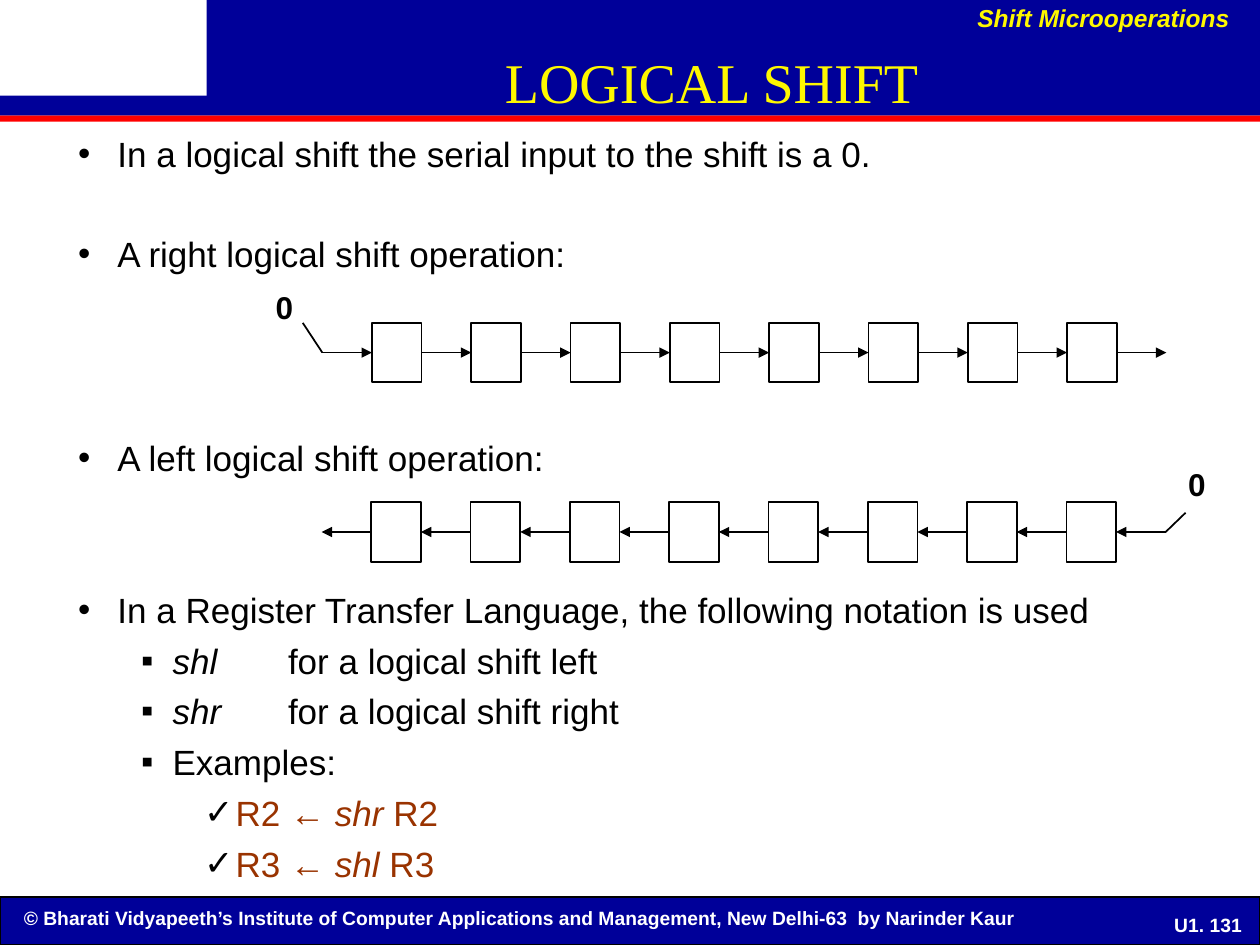
from lxml import etree
from pptx import Presentation
from pptx.dml.color import RGBColor
from pptx.enum import shapes, text
from pptx.oxml import ns
from pptx.util import Pt

NAVY, RED, WHITE, BLACK = "000099", "FF0000", "FFFFFF", "000000"
YELLOW, BROWN = "FEF800", "993300"
HALF = 28.37
CELL_HEIGHT = 34
BULLETS = {0: ("•", 22.5, -22.5), 1: ("▪", 54, -18), 2: ("✓", 90, -18)}
POINTS = [
    (0, 0, BLACK, ["In a logical shift the serial input to the shift is a 0."]),
    (0, 33.5, BLACK, ["A right logical shift operation:"]),
    (0, 92, BLACK, ["A left logical shift operation:"]),
    (0, 63, BLACK, ["In a Register Transfer Language, the following notation is used"]),
    (1, 5, BLACK, ["", "shl", "\tfor a logical shift left"]),
    (1, 5, BLACK, ["", "shr", "\tfor a logical shift right"]),
    (1, 5, BLACK, ["Examples:"]),
    (2, 5, BROWN, ["R2 ← ", "shr", " R2"]),
    (2, 5, BROWN, ["R3 ← ", "shl", " R3"]),
]


def rgb(value):
    """Return the colour for a hex string."""
    return RGBColor.from_string(value)


def add_element(parent, tag, **attrs):
    """Append a DrawingML element and return it."""
    return etree.SubElement(parent, ns.qn(tag), attrs)


def set_font(font, name, size, color, bold=False, italic=False):
    """Format a font."""
    font.name, font.size = name, Pt(size)
    font.bold, font.italic = bold, italic
    font.color.rgb = rgb(color)


def place(sp, left, top, width, height):
    """Move and size a shape."""
    sp.left, sp.top, sp.width, sp.height = map(Pt, (left, top, width, height))


def add_rect(slide, left, top, width, height, fill=None, line=None, weight=1):
    """Add a rectangle with an optional fill and outline."""
    sp = slide.shapes.add_shape(
        shapes.MSO_SHAPE.RECTANGLE, *map(Pt, (left, top, width, height)))
    sp.shadow.inherit = False
    if fill:
        sp.fill.solid()
        sp.fill.fore_color.rgb = rgb(fill)
    else:
        sp.fill.background()
    if line:
        sp.line.color.rgb = rgb(line)
        sp.line.width = Pt(weight)
    else:
        sp.line.fill.background()


def add_line(slide, start, end, arrow=False):
    """Add a black line, with an arrowhead at its end if asked."""
    c = slide.shapes.add_connector(
        shapes.MSO_CONNECTOR.STRAIGHT, *map(Pt, (*start, *end)))
    c.line.color.rgb = rgb(BLACK)
    c.line.width = Pt(1)
    if arrow:
        add_element(c.line._get_or_add_ln(), "a:tailEnd", type="triangle")
    add_element(c._element.spPr, "a:effectLst")


def add_label(slide, box, words, size, color, align=text.PP_ALIGN.LEFT,
              italic=False, wrap=False, anchor=text.MSO_ANCHOR.TOP, spacing=1.0):
    """Add a bold one-line text box."""
    tf = slide.shapes.add_textbox(*map(Pt, box)).text_frame
    tf.word_wrap, tf.vertical_anchor = wrap, anchor
    p = tf.paragraphs[0]
    p.text, p.alignment, p.line_spacing = words, align, spacing
    set_font(p.font, "Arial", size, color, bold=True, italic=italic)


def add_bullet(p, level):
    """Give a paragraph its indents, bullet and tab stop."""
    char, margin, indent = BULLETS[level]
    p.level = level
    pPr = p._p.get_or_add_pPr()
    pPr.set("marL", str(Pt(margin)))
    pPr.set("indent", str(Pt(indent)))
    add_element(add_element(pPr, "a:buClr"), "a:srgbClr", val=BLACK)
    add_element(pPr, "a:buFont", typeface="Arial")
    add_element(pPr, "a:buChar", char=char)
    add_element(add_element(pPr, "a:tabLst"), "a:tab", pos=str(Pt(120)), algn="l")


def fill_title(sp):
    """Write the slide title."""
    place(sp, 116.6, 24.8, 580.3, 43.2)
    tf = sp.text_frame
    tf.auto_size = text.MSO_AUTO_SIZE.NONE
    tf.vertical_anchor = text.MSO_ANCHOR.MIDDLE
    p = tf.paragraphs[0]
    p.text, p.alignment = "LOGICAL SHIFT", text.PP_ALIGN.CENTER
    set_font(p.font, "Times New Roman", 32, YELLOW)


def fill_body(sp):
    """Write the bulleted list, with every second run in italics."""
    place(sp, 37.4, 72, 645.8, 447)
    tf = sp.text_frame
    tf.auto_size = text.MSO_AUTO_SIZE.NONE
    for i, (level, before, color, runs) in enumerate(POINTS):
        p = tf.add_paragraph() if i else tf.paragraphs[0]
        p.space_before = Pt(before)
        add_bullet(p, level)
        set_font(p.font, "Arial", 20, color)
        for j, words in enumerate(runs):
            if words:
                r = p.add_run()
                r.text = words
                if j % 2:
                    r.font.italic = True


def add_register(slide, left, top, to_right):
    """Draw eight cells joined by nine arrows."""
    middle = top + CELL_HEIGHT / 2
    for i in range(9):
        x = left + 2 * i * HALF
        ends = [(x, middle), (x + HALF, middle)]
        add_line(slide, *(ends if to_right else ends[::-1]), arrow=True)
        if i < 8:
            add_rect(slide, x + HALF, top, HALF, CELL_HEIGHT, line=BLACK)


def add_bands(slide):
    """Draw the header and footer bands with the footer wording."""
    add_rect(slide, 0, 512.6, 720, 27.4, NAVY, BLACK, 0.75)
    add_label(slide, (6.5, 514.3, 661, 21),
              "© Bharati Vidyapeeth’s Institute of Computer Applications and "
              "Management, New Delhi-63  by Narinder Kaur", 11, WHITE, wrap=True)
    add_label(slide, (663, 522, 54.7, 13), "U1. 131", 11, WHITE,
              text.PP_ALIGN.CENTER, wrap=True, anchor=text.MSO_ANCHOR.MIDDLE)
    add_rect(slide, 0, 66, 720, 3.6, RED)
    add_rect(slide, 118, 0, 602, 56, NAVY)
    add_rect(slide, 0, 54.7, 720, 11.3, NAVY)


def main():
    """Build and save the slide."""
    prs = Presentation()
    prs.slide_width, prs.slide_height = Pt(720), Pt(540)
    slide = prs.slides.add_slide(prs.slide_layouts[1])
    title, body = slide.placeholders
    add_bands(slide)
    for sp in (title, body):
        slide.shapes._spTree.append(sp._element)
    fill_title(title)
    fill_body(body)
    add_label(slide, (530, 0, 179.9, 22.3), "Shift Microoperations", 14, YELLOW,
              text.PP_ALIGN.RIGHT, italic=True, wrap=True, spacing=0.9)
    add_register(slide, 184.2, 184.5, True)
    add_line(slide, (184.2, 201.5), (173, 184.5))
    add_label(slide, (150.5, 163.4, 24.5, 26.6), "0", 18, BLACK, spacing=0.9)
    add_register(slide, 183.8, 287, False)
    add_line(slide, (666.1, 304), (677.5, 293))
    add_label(slide, (671.8, 264.5, 24.5, 26.6), "0", 18, BLACK, spacing=0.9)
    prs.save("out.pptx")


if __name__ == "__main__":
    main()
